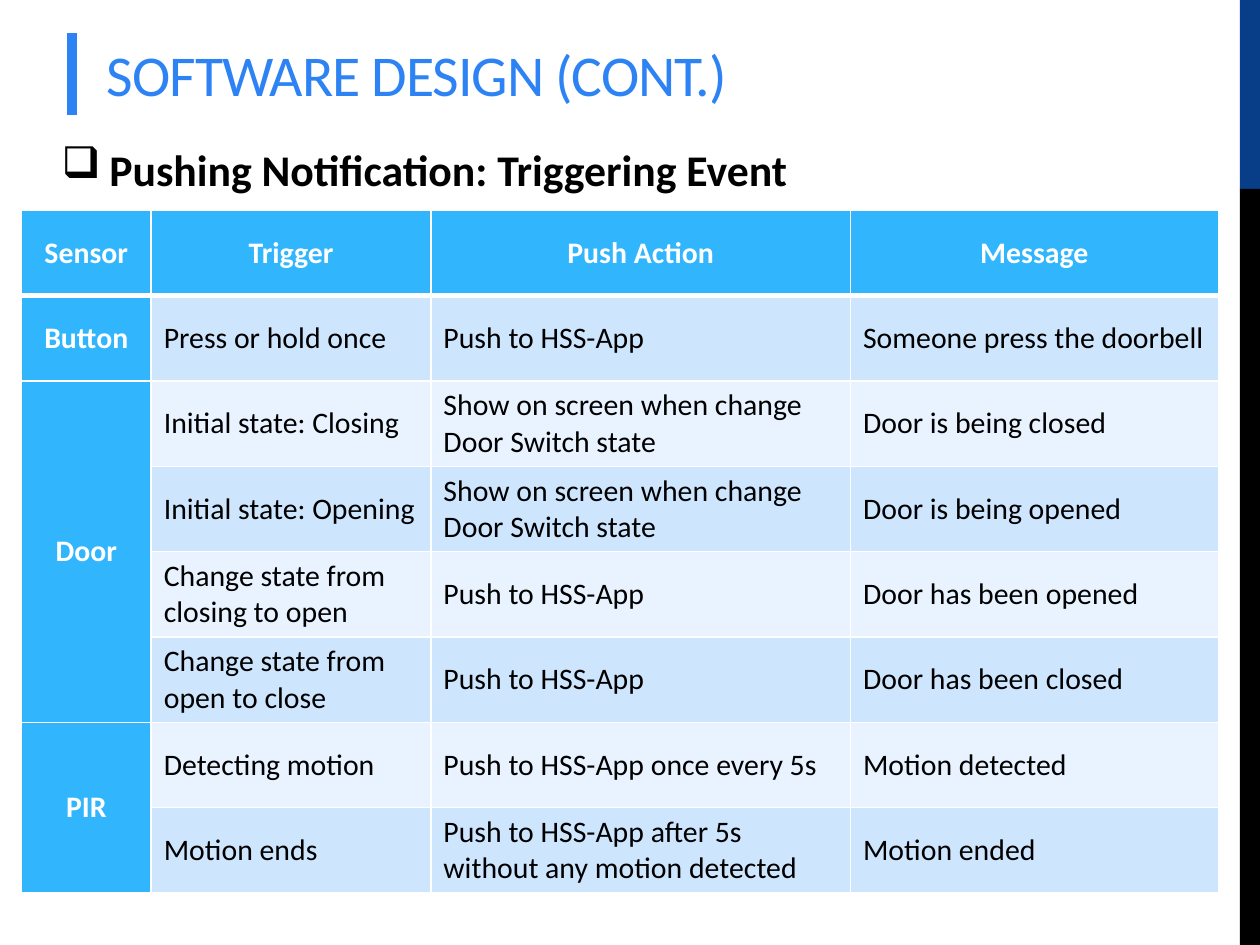
from lxml.etree import SubElement
from pptx import Presentation
from pptx.dml.color import RGBColor
from pptx.enum.shapes import MSO_CONNECTOR, MSO_SHAPE
from pptx.enum.text import MSO_ANCHOR, PP_ALIGN
from pptx.oxml import parse_xml
from pptx.oxml.ns import nsdecls, qn
from pptx.util import Emu, Inches, Pt

ACCENT, HEADER, WHITE, BLACK = "2D83F4", "31B6FD", "FFFFFF", "000000"
BANDS = ("E8F3FF", "CEE5FE")

COLUMNS = (1.03, 2.22, 3.33, 2.92)
HEADINGS = ("Sensor", "Trigger", "Push Action", "Message")
PUSH = "Push to HSS-App"
SHOW = "Show on screen when change Door Switch state"
EVENTS = {
    "Button": [("Press or hold once", PUSH, "Someone press the doorbell")],
    "Door": [
        ("Initial state: Closing", SHOW, "Door is being closed"),
        ("Initial state: Opening", SHOW, "Door is being opened"),
        ("Change state from closing to open", PUSH, "Door has been opened"),
        ("Change state from open to close", PUSH, "Door has been closed"),
    ],
    "PIR": [
        ("Detecting motion", PUSH + " once every 5s", "Motion detected"),
        ("Motion ends", PUSH + " after 5s without any motion detected", "Motion ended"),
    ],
}


def rgb(value):
    return RGBColor.from_string(value)


def write(tf, text, color, **font):
    p = tf.paragraphs[0]
    r = p.add_run()
    r.text = text
    r.font.color.rgb = rgb(color)
    for name, value in {"name": "Calibri", **font}.items():
        setattr(r.font, name, value)
    return p, r


def add_text(s, box, text, color, anchor, wrap, **font):
    tf = s.shapes.add_textbox(*box).text_frame
    tf.word_wrap = wrap
    tf.vertical_anchor = anchor
    return write(tf, text, color, **font)


def add_side_band(s, left, top, width, height):
    # The blue part takes the top fifth
    split = height // 5
    for y, h, color in ((top, split, "073E87"), (top + split, height - split, BLACK)):
        sp = s.shapes.add_shape(MSO_SHAPE.RECTANGLE, left, y, width, h)
        sp.shadow.inherit = False
        sp.fill.solid()
        sp.fill.fore_color.rgb = rgb(color)
        sp.line.fill.background()


def add_title(s, left, top, width, height):
    # Accent bar beside the title
    x = left - Inches(0.18)
    bar = s.shapes.add_connector(MSO_CONNECTOR.STRAIGHT, x, top - Inches(0.07), x, top + height)
    bar.line.color.rgb = rgb(ACCENT)
    bar.line.width = Pt(6)
    SubElement(bar._element.spPr, qn("a:effectLst"))
    # Title text
    p, r = add_text(s, (left, top, width, height), "SOFTWARE DESIGN (CONT.)",
                    ACCENT, MSO_ANCHOR.BOTTOM, True, size=Pt(33))
    r.font._element.set("spc", "-60")


def add_subtitle(s, left, top, width, height):
    p, r = add_text(s, (left, top, width, height), "Pushing Notification: Triggering Event",
                    BLACK, MSO_ANCHOR.TOP, False, size=Pt(25), bold=True)
    pPr = p._p.get_or_add_pPr()
    indent = Inches(0.38)
    pPr.set("marL", str(indent))
    pPr.set("indent", str(-indent))
    SubElement(pPr, qn("a:buChar")).set("char", "❑")


def set_borders(cell, **widths):
    tcPr = cell._tc.get_or_add_tcPr()
    for i, side in enumerate("LRTB"):
        tcPr.insert(i, parse_xml(
            f'<a:ln{side} {nsdecls("a")} w="{Pt(widths.get(side, 1))}"><a:solidFill>'
            f'<a:srgbClr val="{WHITE}"/></a:solidFill></a:ln{side}>'))


def fill_cell(cell, text, fill, heading):
    cell.fill.solid()
    cell.fill.fore_color.rgb = rgb(fill)
    cell.vertical_anchor = MSO_ANCHOR.MIDDLE
    if text:
        p, r = write(cell.text_frame, text, WHITE if heading else BLACK,
                     size=Pt(17), bold=heading)
        p.alignment = PP_ALIGN.CENTER if heading else PP_ALIGN.LEFT


def add_event_table(s, left, top, width, height):
    # One row per event; the sensor name stands in the first row of its group
    rows = [HEADINGS]
    groups = []
    for sensor, events in EVENTS.items():
        groups.append((len(rows), len(rows) + len(events) - 1))
        rows += [(sensor if i == 0 else "", *event) for i, event in enumerate(events)]

    table = s.shapes.add_table(len(rows), len(COLUMNS), left, top, width, height).table
    for column, share in zip(table.columns, COLUMNS):
        column.width = Emu(int(width * share / sum(COLUMNS)))
    for row in table.rows:
        row.height = Emu(height // len(rows))

    # Cells: headings in the first row and column, banded rows elsewhere
    for i, row in enumerate(rows):
        for j, text in enumerate(row):
            heading = i == 0 or j == 0
            cell = table.cell(i, j)
            fill_cell(cell, text, HEADER if heading else BANDS[i % 2], heading)
            set_borders(cell, T=3 if i == 1 else 1, B=3 if i == 0 else 1)

    # Sensors with several events
    for first, last in groups:
        if last > first:
            table.cell(first, 0).merge(table.cell(last, 0))


def main():
    prs = Presentation()
    prs.slide_width, prs.slide_height = Inches(10), Inches(7.5)
    s = prs.slides.add_slide(prs.slide_layouts[6])
    regions = (
        (add_side_band, (9.84, 0, 0.16, 7.5)),
        (add_title, (0.75, 0.33, 7.92, 0.58)),
        (add_subtitle, (0.39, 1.08, 6.17, 0.52)),
        (add_event_table, (0.17, 1.67, 9.5, 5.42)),
    )
    for add_region, box in regions:
        add_region(s, *map(Inches, box))
    prs.save("out.pptx")


if __name__ == "__main__":
    main()
